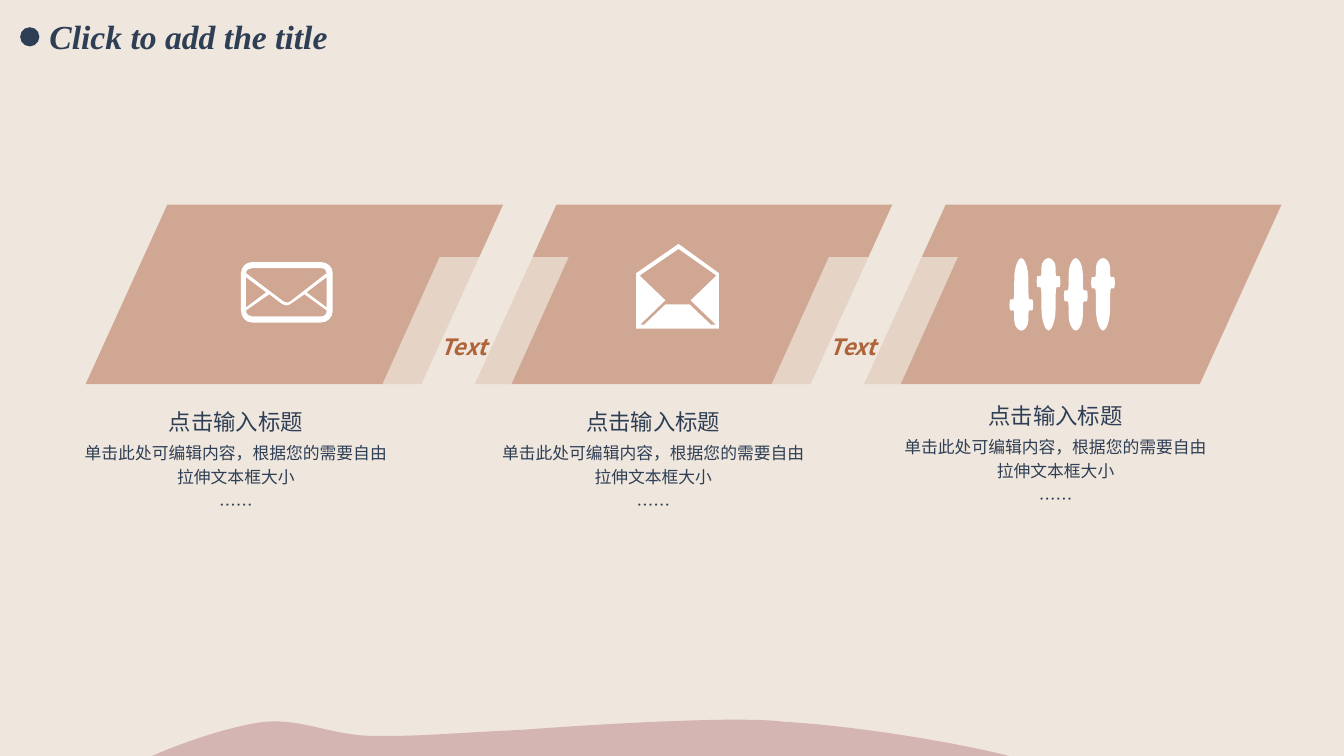
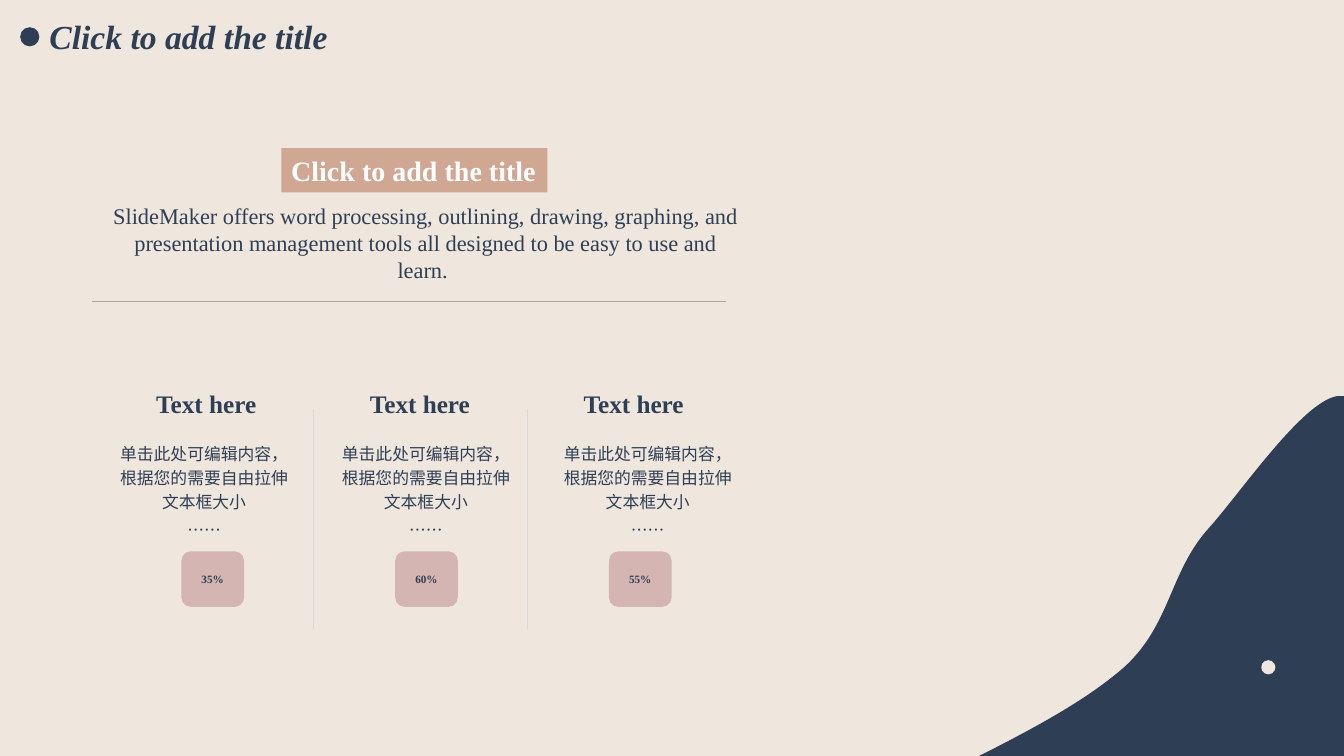
from dataclasses import dataclass
from lxml.etree import SubElement
from pptx import Presentation
from pptx.dml.color import RGBColor
from pptx.enum.shapes import MSO_CONNECTOR, MSO_SHAPE
from pptx.enum.text import MSO_ANCHOR, MSO_AUTO_SIZE, PP_ALIGN
from pptx.oxml.ns import qn
from pptx.util import Inches, Pt


@dataclass(frozen=True)
class Theme:
    sand: str = "EFE6DD"
    navy: str = "2E3F55"
    clay: str = "D0A793"
    rose: str = "D4B5B2"
    rust: str = "AE6339"
    white: str = "FFFFFF"
    rule: str = "A6A6A6"
    faint: str = "D9D9D9"
    serif: str = "Times New Roman"
    sans: str = "Noto Sans CJK SC"
    title: int = 24
    banner: int = 20
    head: int = 18
    lead: int = 16
    body: int = 12
    badge: int = 8


T = Theme()
HINT = "单击此处可编辑内容，根据您的需要自由拉伸文本框大小"
DOTS = "……"


# Basic parts

def style(para, size, face, color=T.navy, bold=False, slant=False):
    for run in para.runs:
        font = run.font
        font.size, font.name = Pt(size), face
        font.bold, font.italic = bold, slant
        font.color.rgb = RGBColor.from_string(color)
        if face == T.sans:
            SubElement(run._r.rPr, qn("a:ea"), typeface=face)


def paint(shape, color):
    shape.shadow.inherit = False
    shape.fill.solid()
    shape.fill.fore_color.rgb = RGBColor.from_string(color)
    shape.line.fill.background()
    return shape


def block(slide, kind, box, color):
    return paint(slide.shapes.add_shape(kind, *map(Inches, box)), color)


def label(shape, text, size, face, align=PP_ALIGN.CENTER, **look):
    frame = shape.text_frame
    frame.text = text
    frame.word_wrap = True
    frame.vertical_anchor = MSO_ANCHOR.MIDDLE
    para = frame.paragraphs[0]
    para.alignment = align
    style(para, size, face, **look)
    return frame


def note(slide, box, lines, inset=0.0):
    """Centred text box; lines holds (text, size) pairs."""
    frame = slide.shapes.add_textbox(*map(Inches, box)).text_frame
    frame.word_wrap = True
    frame.margin_left = frame.margin_right = Inches(inset)
    frame.margin_top = frame.margin_bottom = Inches(inset / 2)
    frame.text = "\n".join(text for text, _ in lines)
    for para, (_, size) in zip(frame.paragraphs, lines):
        para.alignment = PP_ALIGN.CENTER
        para.line_spacing = 1.2
        para.space_before = Pt(0)
        # Space before as a share of the line
        gap = para._p.pPr.find(qn("a:spcBef"))
        gap.remove(gap[0])
        SubElement(gap, qn("a:spcPct"), val="20000")
        style(para, size, T.sans)


def stroke(slide, start, end, color):
    line = slide.shapes.add_connector(
        MSO_CONNECTOR.STRAIGHT, *map(Inches, start + end))
    line.line.color.rgb = RGBColor.from_string(color)
    line.line.width = Pt(0.25)
    SubElement(line._element.spPr, qn("a:effectLst"))


# Outlines: two numbers make a line, six make a Bezier curve

def pairs(parts):
    return [pair for part in parts for pair in zip(part[::2], part[1::2])]


def bend(shape, loops):
    """Join the three legs of each curve into one Bezier segment."""
    track = shape._element.find(".//" + qn("a:path"))
    nodes = iter(list(track))
    for loop in loops:
        next(nodes)
        for part in loop[1:]:
            legs = [next(nodes) for _ in range(len(part) // 2)]
            if len(legs) == 3:
                curve = SubElement(track, qn("a:cubicBezTo"))
                legs[0].addprevious(curve)
                for leg in legs:
                    curve.append(leg[0])
                    track.remove(leg)
        next(nodes)


def shape_of(slide, x, y, loops, color):
    build = None
    for loop in loops:
        points = [(Inches(x + a), Inches(y + b)) for a, b in pairs(loop)]
        if build is None:
            build = slide.shapes.build_freeform(*points[0])
        else:
            build.move_to(*points[0])
        build.add_line_segments(points[1:])
    shape = build.convert_to_shape()
    bend(shape, loops)
    return paint(shape, color)


MAIL = [
    [(0.79, 0), (0.11, 0), (0.05, 0, 0, 0.05, 0, 0.11), (0, 0.48),
     (0, 0.55, 0.05, 0.6, 0.11, 0.6), (0.79, 0.6),
     (0.86, 0.6, 0.91, 0.55, 0.91, 0.48), (0.91, 0.11),
     (0.91, 0.05, 0.86, 0, 0.79, 0)],
    [(0.49, 0.39), (0.48, 0.4, 0.47, 0.4, 0.45, 0.4),
     (0.44, 0.4, 0.43, 0.4, 0.42, 0.39), (0.05, 0.11),
     (0.05, 0.08, 0.08, 0.06, 0.11, 0.06), (0.79, 0.06),
     (0.83, 0.06, 0.85, 0.08, 0.85, 0.11)],
    [(0.85, 0.48), (0.85, 0.52, 0.83, 0.54, 0.79, 0.54), (0.11, 0.54),
     (0.08, 0.54, 0.05, 0.52, 0.05, 0.48), (0.28, 0.32), (0.4, 0.41),
     (0.42, 0.42, 0.43, 0.43, 0.45, 0.43),
     (0.47, 0.43, 0.49, 0.42, 0.5, 0.41), (0.63, 0.32)],
    [(0.85, 0.45), (0.65, 0.3), (0.85, 0.15)],
    [(0.05, 0.15), (0.25, 0.3), (0.05, 0.45)],
]
OPEN = [
    [(0.42, 0), (0, 0.29), (0, 0.84), (0.82, 0.84), (0.82, 0.29)],
    [(0.74, 0.8), (0.53, 0.6), (0.29, 0.6), (0.08, 0.8), (0.04, 0.8),
     (0.29, 0.56), (0.04, 0.32), (0.04, 0.31), (0.42, 0.05), (0.79, 0.31),
     (0.79, 0.32), (0.54, 0.56), (0.79, 0.8)],
]
WAVE = [[
    (5.7, 0), (4.82, 0.01, 3.68, 0.1, 3.68, 0.1),
    (3, 0.13, 2.62, 0.17, 2.17, 0.16), (1.72, 0.15, 1.43, -0.05, 0.99, 0.04),
    (0.77, 0.08, 0.44, 0.18, 0.14, 0.3), (0, 0.36), (8.5, 0.36),
    (8.46, 0.35), (7.89, 0.21, 6.95, 0.06, 6.26, 0.02),
    (6.1, 0, 5.91, 0, 5.7, 0),
]]
HILL = [[
    (3.64, 3.58), (0, 3.58), (0.1, 3.53), (0.63, 3.26, 1.12, 2.99, 1.47, 2.68),
    (1.92, 2.26, 1.91, 1.75, 2.29, 1.32), (2.6, 0.98, 3.22, 0.06, 3.57, 0),
    (3.64, 0),
]]


def slider(slide, x, y, knob):
    """A stem centred on x, its knob starting below y."""
    tall, stem = 0.72, 0.07
    base = knob + 0.11
    rest = tall - base
    half = [
        (0, 0), (0.03, 0, stem, knob * 0.22, stem, knob * 0.5),
        (stem, knob * 0.75, stem, knob, 0.08, knob),
        (0.09, knob, 0.1, knob, 0.11, knob),
        (0.12, knob + 0.01, 0.12, base - 0.01, 0.11, base),
        (0.1, base, 0.09, base, 0.08, base),
        (stem, base, stem, base + rest * 0.25, stem, base + rest * 0.5),
        (stem, base + rest * 0.78, 0.03, tall, 0, tall)]
    back = [(-a, b) for a, b in reversed(pairs(half))][1:]
    left = [sum(back[i:i + 3], ()) for i in range(0, len(back), 3)]
    shape_of(slide, x, y, [half + left], T.white)


# Regions

def start(deck, text):
    slide = deck.slides.add_slide(deck.slide_layouts[5])
    title = slide.shapes.title
    title.left, title.top, title.width, title.height = map(
        Inches, (0.39, 0.11, 3.15, 0.5))
    frame = label(title, text, T.title, T.serif, PP_ALIGN.LEFT,
                  bold=True, slant=True)
    frame.auto_size = MSO_AUTO_SIZE.NONE
    block(slide, MSO_SHAPE.OVAL, (0.2, 0.27, 0.19, 0.19), T.navy)
    return slide


def panel(slide, x, y):
    slant = [(0.81, 0), (4.14, 0), (3.33, 1.78), (0, 1.78)]
    shape_of(slide, x, y, [slant], T.clay)


def link(slide, x, y):
    veil = block(slide, MSO_SHAPE.PARALLELOGRAM, (x, y, 2.08, 1.78), T.sand)
    veil.adjustments[0] = 0.45
    tint = veil._element.spPr.find(".//" + qn("a:srgbClr"))
    SubElement(tint, qn("a:alpha"), val="70000")
    label(veil, "Text", T.lead, T.sans, color=T.rust, bold=True, slant=True)


def flow(slide, x, y):
    step = 3.86
    # Captions
    for left, top in ((-0.01, 1.97), (4.13, 1.97), (8.12, 1.91)):
        note(slide, (x + left, y + top, 3, 1.13),
             [("点击输入标题", T.lead), (HINT, T.body), (DOTS, T.body)])
    # Panels and the links over their gaps
    for col in range(3):
        panel(slide, x + col * step, y)
    for col in range(2):
        link(slide, x + 2.71 + col * step, y + 0.52)
    # Icons
    shape_of(slide, x + 5.46, y + 0.39, OPEN, T.white)
    shape_of(slide, x + 1.54, y + 0.57, MAIL, T.white)
    for col, knob in enumerate((0.41, 0.18, 0.32, 0.19)):
        slider(slide, x + 9.28 + col * 0.27, y + 0.53, knob)


def intro(slide, x, y):
    banner = block(slide, MSO_SHAPE.RECTANGLE,
                   (x + 1.88, y, 2.64, 0.44), T.clay)
    frame = label(banner, "Click to add the title", T.banner, T.serif,
                  PP_ALIGN.LEFT, color=T.white, bold=True)
    frame.word_wrap = False
    lead = slide.shapes.add_textbox(
        *map(Inches, (x + 0.21, y + 0.54, 6.2, 0.81)))
    frame = label(
        lead, "SlideMaker offers word processing, outlining, drawing, "
        "graphing, and presentation management tools all designed to be "
        "easy to use and learn. ", T.lead, T.serif)
    frame.vertical_anchor = MSO_ANCHOR.TOP
    frame.margin_left = frame.margin_right = 0
    frame.margin_top = frame.margin_bottom = 0
    stroke(slide, (x + 6.29, y + 1.52), (x, y + 1.52), T.rule)


def stats(slide, x, y, rates):
    step = 2.12
    for col, rate in enumerate(rates):
        left = x + col * step
        head = slide.shapes.add_textbox(
            *map(Inches, (left + 0.08, y, 1.81, 0.56)))
        label(head, "Text here", T.head, T.serif, bold=True)
        note(slide, (x + col * 2.2, y + 0.59, 1.93, 1.09),
             [(HINT, T.body), (DOTS, T.body)], inset=0.1)
        badge = block(slide, MSO_SHAPE.ROUNDED_RECTANGLE,
                      (left + 0.74, y + 1.75, 0.62, 0.55), T.rose)
        label(badge, rate, T.badge, T.serif, bold=True)
        if col:
            edge = left - 0.07
            stroke(slide, (edge, y + 0.34), (edge, y + 2.52), T.faint)


def main():
    deck = Presentation()
    deck.slide_width, deck.slide_height = Inches(13.33), Inches(7.5)
    back = deck.slide_master.background.fill
    back.solid()
    back.fore_color.rgb = RGBColor.from_string(T.sand)

    # Three linked panels
    slide = start(deck, "Click to add the title")
    flow(slide, 0.85, 2.03)
    shape_of(slide, 1.51, 7.14, WAVE, T.rose)

    # Introduction with three rates
    slide = start(deck, "Click to add the title")
    intro(slide, 0.91, 1.47)
    stats(slide, 1.06, 3.72, ("35%", "60%", "55%"))
    shape_of(slide, 9.69, 3.93, HILL, T.navy)
    block(slide, MSO_SHAPE.OVAL, (12.51, 6.55, 0.14, 0.14), T.sand)

    deck.save("out.pptx")


if __name__ == "__main__":
    main()
